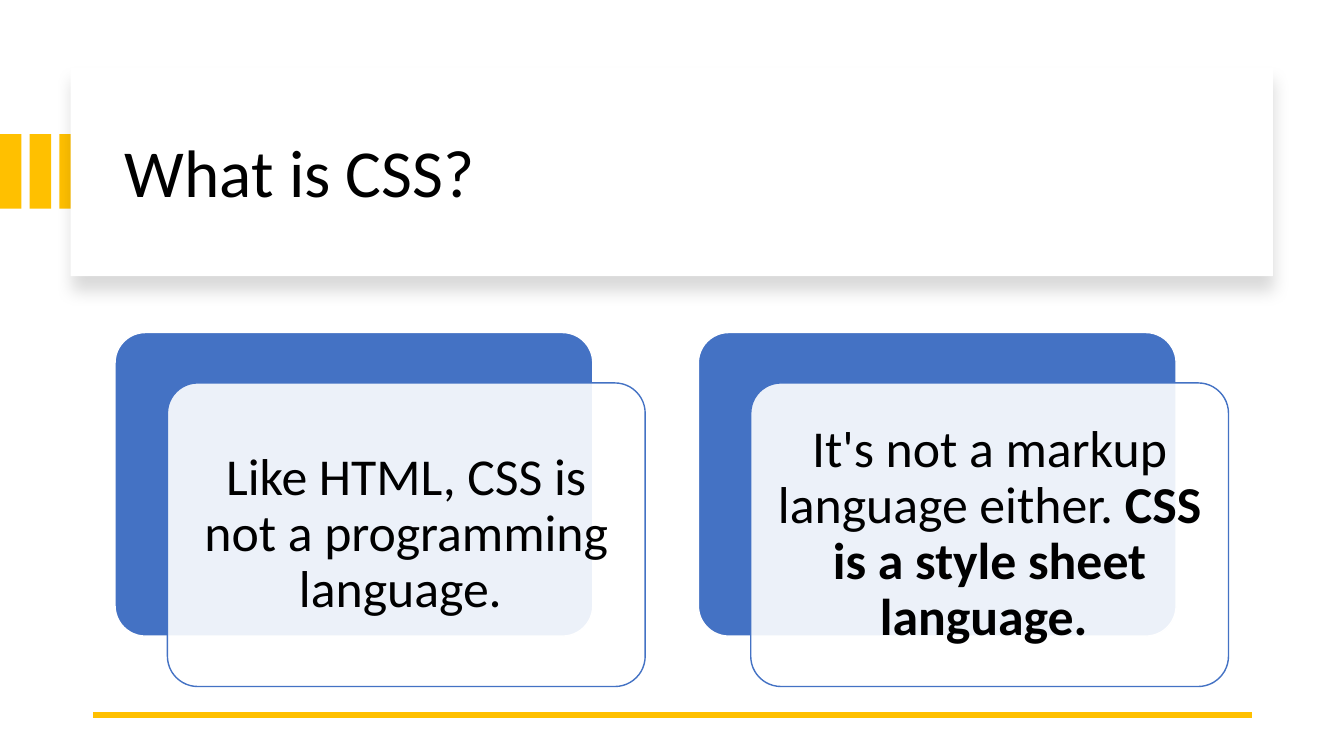
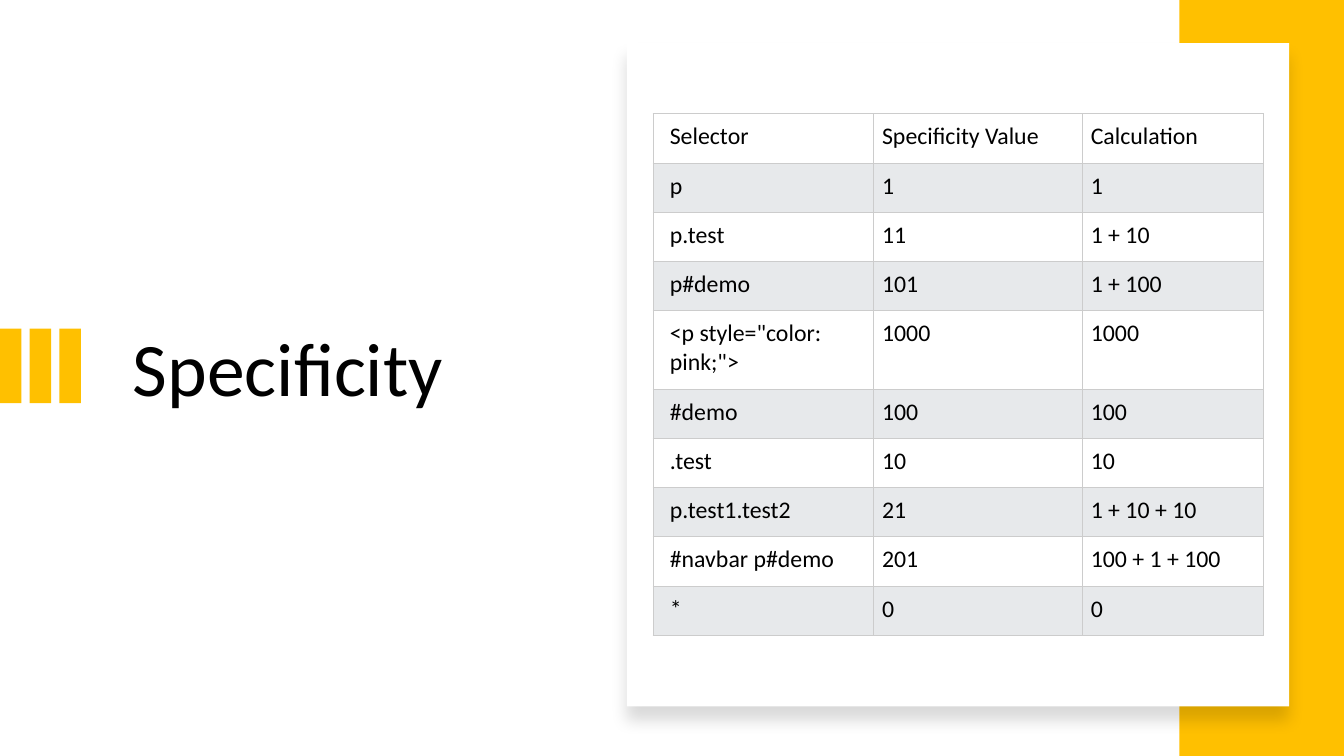
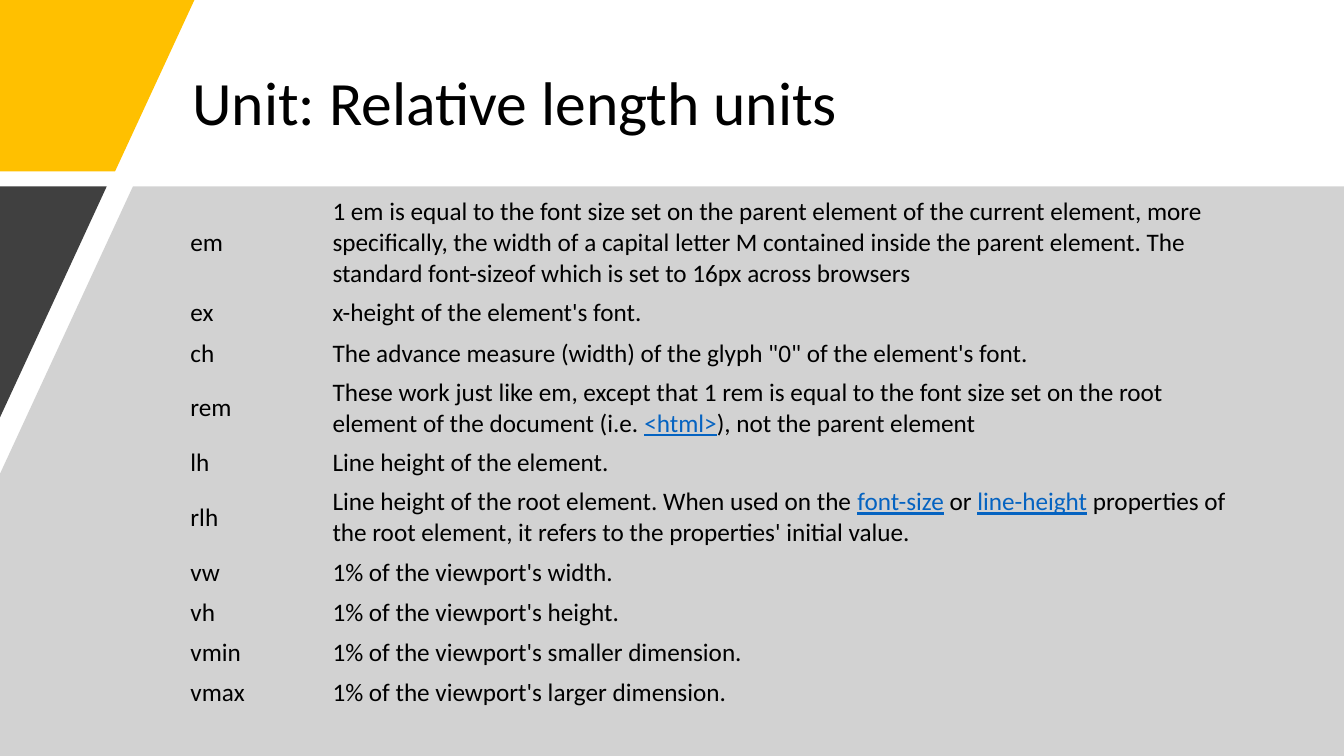
from lxml.etree import SubElement as Sub
from pptx import Presentation
from pptx.dml.color import RGBColor as Rgb
from pptx.enum.shapes import MSO_CONNECTOR as Link, MSO_SHAPE as Kind
from pptx.enum.text import MSO_ANCHOR as Anchor, PP_ALIGN as Align
from pptx.oxml.ns import qn
from pptx.util import Cm, Pt


class Theme:
    font = "Calibri"
    ink, paper, gold, blue = "000000", "FFFFFF", "FFC000", "4472C4"
    dark, gray, band, rule, link = "404040", "A6A6A6", "E7E9EB", "CCCCCC", "0563C1"
    note, cell, unit = 37, 17, 18


WIDE, HIGH = 33.87, 19.05


def paint(shape, fill, line=None, alpha=100):
    """Give a shape a flat fill, an optional 1 pt line and no shadow."""
    shape.shadow.inherit = False
    shape.fill.solid()
    shape.fill.fore_color.rgb = Rgb.from_string(fill)
    if alpha < 100:
        tint = shape._element.spPr.find(qn("a:solidFill"))[0]
        Sub(tint, qn("a:alpha"), val=str(alpha * 1000))
    if line:
        shape.line.color.rgb = Rgb.from_string(line)
        shape.line.width = Pt(1)
    else:
        shape.line.fill.background()
    return shape


def write(para, text, size, accent=None, color=Theme.ink):
    """Add runs to a paragraph; parts between bars get the accent and color."""
    for i, part in enumerate(text.split("|")):
        run = para.add_run()
        run.text = part
        form = {"name": Theme.font, "size": Pt(size)}
        if i % 2:
            form.update(accent)
        for key, val in form.items():
            setattr(run.font, key, val)
        run.font.color.rgb = Rgb.from_string(color if i % 2 else Theme.ink)


deck = Presentation()
deck.slide_width, deck.slide_height = Cm(WIDE), Cm(HIGH)

# Shared frame: side strip, bars, raised card and title
pages = [
    {"title": "What is CSS?", "size": 48, "box": (2.9, 2.26, 28.27, 4.32),
     "anchor": Anchor.MIDDLE, "bars": 3.38, "card": (1.78, 1.7, 30.3, 5.26)},
    {"title": "Specificity", "size": 54, "box": (3.1, 8.23, 11.2, 6.63),
     "anchor": Anchor.TOP, "bars": 8.28, "card": (15.8, 1.09, 16.69, 16.71),
     "strip": (29.72, 0, 4.15, HIGH)},
    {"title": "Unit: Relative length units", "size": 44,
     "box": (4.6, 1.02, 26.01, 3.3), "anchor": Anchor.MIDDLE},
]
for page in pages:
    shapes = deck.slides.add_slide(deck.slide_layouts[6]).shapes
    blocks = []
    if "strip" in page:
        blocks.append(page["strip"])
    if "bars" in page:
        blocks += [(i * 0.75, page["bars"], 0.54, 1.88) for i in range(3)]
    for box in blocks:
        paint(shapes.add_shape(Kind.RECTANGLE, *map(Cm, box)), Theme.gold)
    if "card" in page:
        card = paint(shapes.add_shape(Kind.RECTANGLE, *map(Cm, page["card"])), Theme.paper)
        glow = Sub(card._element.spPr.find(qn("a:effectLst")), qn("a:outerShdw"),
                   blurRad=str(Pt(11)), dist=str(Pt(10)), dir="5400000",
                   algn="t", rotWithShape="0")
        tone = Sub(glow, qn("a:srgbClr"), val=Theme.ink)
        Sub(tone, qn("a:alpha"), val="15000")
    frame = shapes.add_textbox(*map(Cm, page["box"])).text_frame
    frame.word_wrap, frame.vertical_anchor = True, page["anchor"]
    head = frame.paragraphs[0]
    head.line_spacing = 0.9
    write(head, page["title"], page["size"])

about, score, units = [slide.shapes for slide in deck.slides]

# What is CSS?
rule = about.add_connector(Link.STRAIGHT, Cm(31.55), Cm(18.01), Cm(2.34), Cm(18.01))
rule.line.color.rgb = Rgb.from_string(Theme.gold)
rule.line.width = Pt(4.5)
Sub(rule._element.spPr, qn("a:effectLst"))

notes = ["Like HTML, CSS is not a programming language. ",
         "It's not a markup language either. |CSS is a style sheet language. "]
for i, note in enumerate(notes):
    left, top = 2.9 + i * 14.7, 8.38
    layers = [(left, top, Theme.blue, Theme.paper, 100),
              (left + 1.32, top + 1.27, Theme.paper, Theme.blue, 90)]
    for x, y, fill, line, alpha in layers:
        panel = about.add_shape(Kind.ROUNDED_RECTANGLE, Cm(x), Cm(y), Cm(12.04), Cm(7.65))
        panel.adjustments[0] = 0.1
        paint(panel, fill, line, alpha)
    frame = panel.text_frame
    form = {"word_wrap": True, "vertical_anchor": Anchor.MIDDLE}
    form.update({f"margin_{side}": Cm(0.38) for side in ("left", "top", "right", "bottom")})
    for key, val in form.items():
        setattr(frame, key, val)
    para = frame.paragraphs[0]
    para.alignment, para.line_spacing = Align.CENTER, 0.9
    write(para, note, Theme.note, {"bold": True})

# Slanted bands behind the units
bands = [
    (Theme.gold, 100, [(0, 0), (4.9, 0), (2.9, 4.32), (0, 4.32)]),
    (Theme.gray, 50, [(3.35, 4.7), (WIDE, 4.7), (WIDE, HIGH), (0, HIGH), (0, 11.94)]),
    (Theme.dark, 100, [(0, 4.7), (2.69, 4.7), (0, 10.52)]),
]
for fill, alpha, points in bands:
    start, *rest = [(Cm(x), Cm(y)) for x, y in points]
    path = units.build_freeform(*start)
    path.add_line_segments(rest)
    paint(path.convert_to_shape(), fill, alpha=alpha)

# Both tables
scores = [
    ("Selector", "Specificity Value", "Calculation"),
    ("p", "1", "1"),
    ("p.test", "11", "1 + 10"),
    ("p#demo", "101", "1 + 100"),
    ('<p style="color: pink;">', "1000", "1000"),
    ("#demo", "100", "100"),
    (".test", "10", "10"),
    ("p.test1.test2", "21", "1 + 10 + 10"),
    ("#navbar p#demo", "201", "100 + 1 + 100"),
    ("*", "0", "0"),
]
lengths = [
    ("em", "1 em is equal to the font size set on the parent element of the current "
           "element, more specifically, the width of a capital letter M contained inside "
           "the parent element. The standard font-sizeof which is set to 16px across browsers"),
    ("ex", "x-height of the element's font."),
    ("ch", 'The advance measure (width) of the glyph "0" of the element\'s font.'),
    ("rem", "These work just like em, except that 1 rem is equal to the font size set on "
            "the root element of the document (i.e. |<html>|), not the parent element"),
    ("lh", "Line height of the element."),
    ("rlh", "Line height of the root element. When used on the |font-size| or "
            "|line-height| properties of the root element, it refers to the properties' "
            "initial value."),
    ("vw", "1% of the viewport's width."),
    ("vh", "1% of the viewport's height."),
    ("vmin", "1% of the viewport's smaller dimension."),
    ("vmax", "1% of the viewport's larger dimension."),
]
tables = [
    {"on": score, "rows": scores, "at": (16.46, 2.87), "cols": (5.56, 5.26, 4.55),
     "row": 1.24, "tall": {4: 1.98}, "size": Theme.cell, "anchor": Anchor.TOP,
     "lead": 0.42, "side": 0.21, "edge": 0.21, "fills": (Theme.paper, Theme.band)},
    {"on": units, "rows": lengths, "at": (4.6, 4.85), "cols": (3.58, 23.52),
     "row": 1.01, "tall": {0: 2.54, 3: 1.75, 5: 1.75}, "size": Theme.unit,
     "anchor": Anchor.MIDDLE, "lead": 0.2, "side": 0.2, "edge": 0.1, "fills": None},
]
for plan in tables:
    rows, cols = plan["rows"], plan["cols"]
    highs = [plan["tall"].get(i, plan["row"]) for i in range(len(rows))]
    box = (*plan["at"], sum(cols), sum(highs))
    grid = plan["on"].add_table(len(rows), len(cols), *map(Cm, box)).table
    grid.first_row = grid.horz_banding = False
    style = grid._tbl.tblPr.find(qn("a:tableStyleId"))
    style.text = "{2D5ABB26-0587-4C30-8999-92F81FD0307C}"
    for col, width in zip(grid.columns, cols):
        col.width = Cm(width)
    for r, (row, high) in enumerate(zip(rows, highs)):
        grid.rows[r].height = Cm(high)
        for c, text in enumerate(row):
            cell = grid.cell(r, c)
            form = {"vertical_anchor": plan["anchor"],
                    "margin_left": Cm(plan["side"] if c else plan["lead"]),
                    "margin_right": Cm(plan["side"]),
                    "margin_top": Cm(plan["edge"]), "margin_bottom": Cm(plan["edge"])}
            for key, val in form.items():
                setattr(cell, key, val)
            if plan["fills"]:
                for side in "LRTB":
                    line = Sub(cell._tc.get_or_add_tcPr(), qn(f"a:ln{side}"), w=str(Pt(0.75)))
                    Sub(Sub(line, qn("a:solidFill")), qn("a:srgbClr"), val=Theme.rule)
                cell.fill.solid()
                cell.fill.fore_color.rgb = Rgb.from_string(plan["fills"][r % 2])
            else:
                cell.fill.background()
            write(cell.text_frame.paragraphs[0], text, plan["size"],
                  {"underline": True}, Theme.link)

deck.save("out.pptx")
